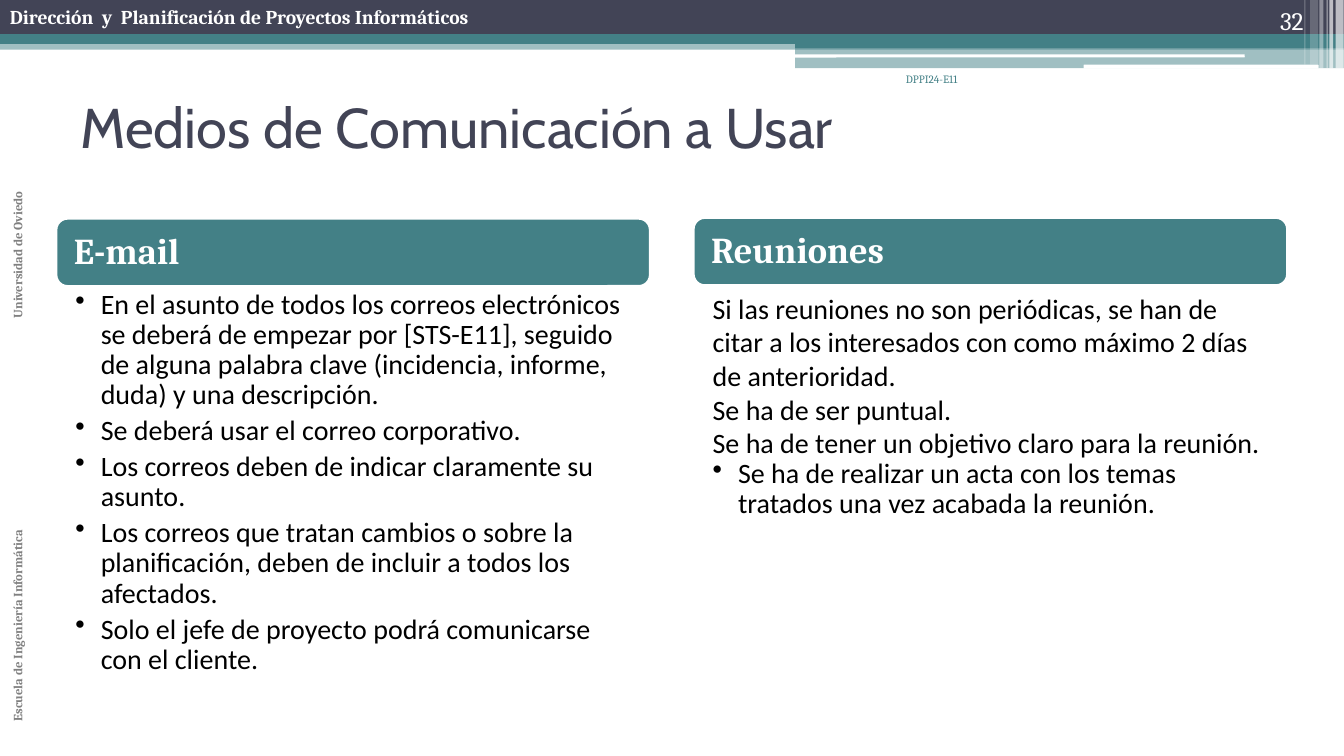
import pptx
import pptx.util
import pptx.dml.color
import pptx.enum.shapes
import pptx.enum.text
import pptx.oxml
import pptx.oxml.ns
from lxml import etree

Cm = pptx.util.Cm
Pt = pptx.util.Pt
RGBColor = pptx.dml.color.RGBColor
MSO_SHAPE = pptx.enum.shapes.MSO_SHAPE
ANCHOR = pptx.enum.text.MSO_ANCHOR
ALIGN = pptx.enum.text.PP_ALIGN
qn = pptx.oxml.ns.qn

TEAL = RGBColor(0x43, 0x80, 0x86)
SLATE = RGBColor(0x42, 0x44, 0x56)
WHITE = RGBColor(0xFF, 0xFF, 0xFF)
GRAY = RGBColor(0x80, 0x80, 0x80)
BLACK = RGBColor(0, 0, 0)

WIDTH = 33.87
HEIGHT = 19.05
CARD_WIDTH = 14.96
HEADING_HEIGHT = 1.7
SERIF = "Cambria"
SANS = "Calibri"
DISPLAY = "Cabin"


class SlideBuilder:
    def __init__(self, slide):
        self.slide = slide

    def block(self, box, color, opacity=100, kind=MSO_SHAPE.RECTANGLE):
        block = self.slide.shapes.add_shape(kind, *map(Cm, box))
        block.shadow.inherit = False
        block.fill.solid()
        block.fill.fore_color.rgb = color
        block.line.fill.background()
        if opacity < 100:
            tint = block._element.spPr.find(".//" + qn("a:srgbClr"))
            etree.SubElement(tint, qn("a:alpha")).set("val", str(opacity * 1000))
        return block

    def frame(self, shape, anchor=ANCHOR.TOP, insets=(0.25, 0.13, 0.25, 0.13)):
        frame = shape.text_frame
        frame.word_wrap = True
        frame.vertical_anchor = anchor
        (frame.margin_left, frame.margin_top,
         frame.margin_right, frame.margin_bottom) = map(Cm, insets)
        return frame

    def add_words(self, paragraph, text, size, color, font=SERIF, bold=False, align=ALIGN.LEFT):
        paragraph.alignment = align
        run = paragraph.add_run()
        run.text = text
        run.font.size = Pt(size)
        run.font.name = font
        run.font.bold = bold
        run.font.color.rgb = color

    def label(self, box, text, size, color, anchor=ANCHOR.TOP, **style):
        label = self.slide.shapes.add_textbox(*map(Cm, box))
        frame = self.frame(label, anchor)
        self.add_words(frame.paragraphs[0], text, size, color, **style)
        return frame

    def sidebar(self, box, text, tab):
        frame = self.label(box, text, 9, GRAY, bold=True)
        frame._txBody.bodyPr.set("vert", "vert270")
        stops = etree.SubElement(frame.paragraphs[0]._p.get_or_add_pPr(), qn("a:tabLst"))
        stop = etree.SubElement(stops, qn("a:tab"))
        stop.set("pos", str(Cm(tab)))
        stop.set("algn", "l")

    def heading(self, left, top, text):
        heading = self.block((left, top, CARD_WIDTH, HEADING_HEIGHT), TEAL,
                             kind=MSO_SHAPE.ROUNDED_RECTANGLE)
        heading.line.color.rgb = WHITE
        heading.line.width = Pt(1.5)
        frame = self.frame(heading, ANCHOR.MIDDLE, (0.36, 0.36, 0.36, 0.36))
        frame.paragraphs[0].line_spacing = 0.9
        self.add_words(frame.paragraphs[0], text, 26, WHITE, bold=True)

    def bullet(self, paragraph):
        paragraph.line_spacing = 0.9
        paragraph.space_after = Pt(4)
        properties = paragraph._p.get_or_add_pPr()
        properties.set("marL", str(Cm(0.64)))
        properties.set("indent", str(-Cm(0.64)))
        etree.SubElement(properties, qn("a:buChar")).set("char", "•")

    def points(self, box, plain, bulleted, insets):
        body = self.slide.shapes.add_textbox(*map(Cm, box))
        frame = self.frame(body, insets=insets)
        for index, text in enumerate(plain + bulleted):
            paragraph = frame.add_paragraph() if index else frame.paragraphs[0]
            if index >= len(plain):
                self.bullet(paragraph)
            self.add_words(paragraph, text, 20, BLACK, SANS)


BANDS = [
    ((0, 1.02, WIDTH, 0.23), TEAL, 50),
    ((0, 0, WIDTH, 0.86), SLATE, 100),
    ((0, 0.86, WIDTH, 0.25), TEAL, 100),
    ((20.04, 0.99, 13.83, 0.23), TEAL, 100),
    ((20.04, 1.22, 13.83, 0.5), TEAL, 50),
]
GROOVES = [(20.02, 1.37, 11.35, 0.08), (27.31, 1.63, 5.92, 0.1)]
STRIPES = [
    (33.66, 0.2, 1.73, 65),
    (33.5, 0.1, 1.73, 65),
    (33.43, 0.03, 1.73, 60),
    (33.25, 0.1, 1.73, 40),
    (33.02, 0.2, 1.63, 20),
    (32.87, 0.03, 1.63, 30),
]
EMAIL_RULES = [
    "En el asunto de todos los correos electrónicos se deberá de empezar por [STS-E11], "
    "seguido de alguna palabra clave (incidencia, informe, duda) y una descripción.",
    "Se deberá usar el correo corporativo.",
    "Los correos deben de indicar claramente su asunto.",
    "Los correos que tratan cambios o sobre la planificación, "
    "deben de incluir a todos los afectados.",
    "Solo el jefe de proyecto podrá comunicarse con el cliente.",
]
MEETING_RULES = [
    "Si las reuniones no son periódicas, se han de citar a los interesados "
    "con como máximo 2 días de anterioridad.",
    "Se ha de ser puntual.",
    "Se ha de tener un objetivo claro para la reunión.",
]
MINUTES_RULE = [
    "Se ha de realizar un acta con los temas tratados una vez acabada la reunión.",
]


def main():
    deck = pptx.Presentation()
    deck.slide_width = Cm(WIDTH)
    deck.slide_height = Cm(HEIGHT)
    builder = SlideBuilder(deck.slides.add_slide(deck.slide_layouts[6]))

    for box, color, opacity in BANDS:
        builder.block(box, color, opacity)
    for box in GROOVES:
        builder.block(box, WHITE, kind=MSO_SHAPE.ROUNDED_RECTANGLE)
    for left, width, height, opacity in STRIPES:
        builder.block((left, 0, width, height), WHITE, opacity)

    builder.label((0, 0, 20.93, 0.86), "Dirección  y  Planificación de Proyectos Informáticos",
                  14, WHITE, bold=True)
    builder.sidebar((0, 1.37, 0.89, 16.94),
                    "Escuela de Ingeniería Informática\tUniversidad de Oviedo", 10.16)
    builder.label((30.28, 0, 2.82, 1.02), "32", 18, WHITE, ANCHOR.BOTTOM, align=ALIGN.RIGHT)
    builder.label((19.48, 1.7, 4.9, 1.27), "DPPI24-E11", 8, TEAL, align=ALIGN.RIGHT)
    builder.label((1.78, 1.7, 30.48, 2.97), "Medios de Comunicación a Usar", 40, SLATE,
                  ANCHOR.MIDDLE, font=DISPLAY)

    builder.heading(1.42, 5.51, "E-mail")
    builder.points((1.42, 7.21, CARD_WIDTH, 10.46), [], EMAIL_RULES, (0.48, 0.1, 0.5, 0.1))
    builder.heading(17.48, 5.49, "Reuniones")
    builder.points((17.48, 7.26, CARD_WIDTH, 6.91), MEETING_RULES, MINUTES_RULE,
                   (0.48, 0.08, 0.4, 0.08))

    deck.save("out.pptx")


if __name__ == "__main__":
    main()
